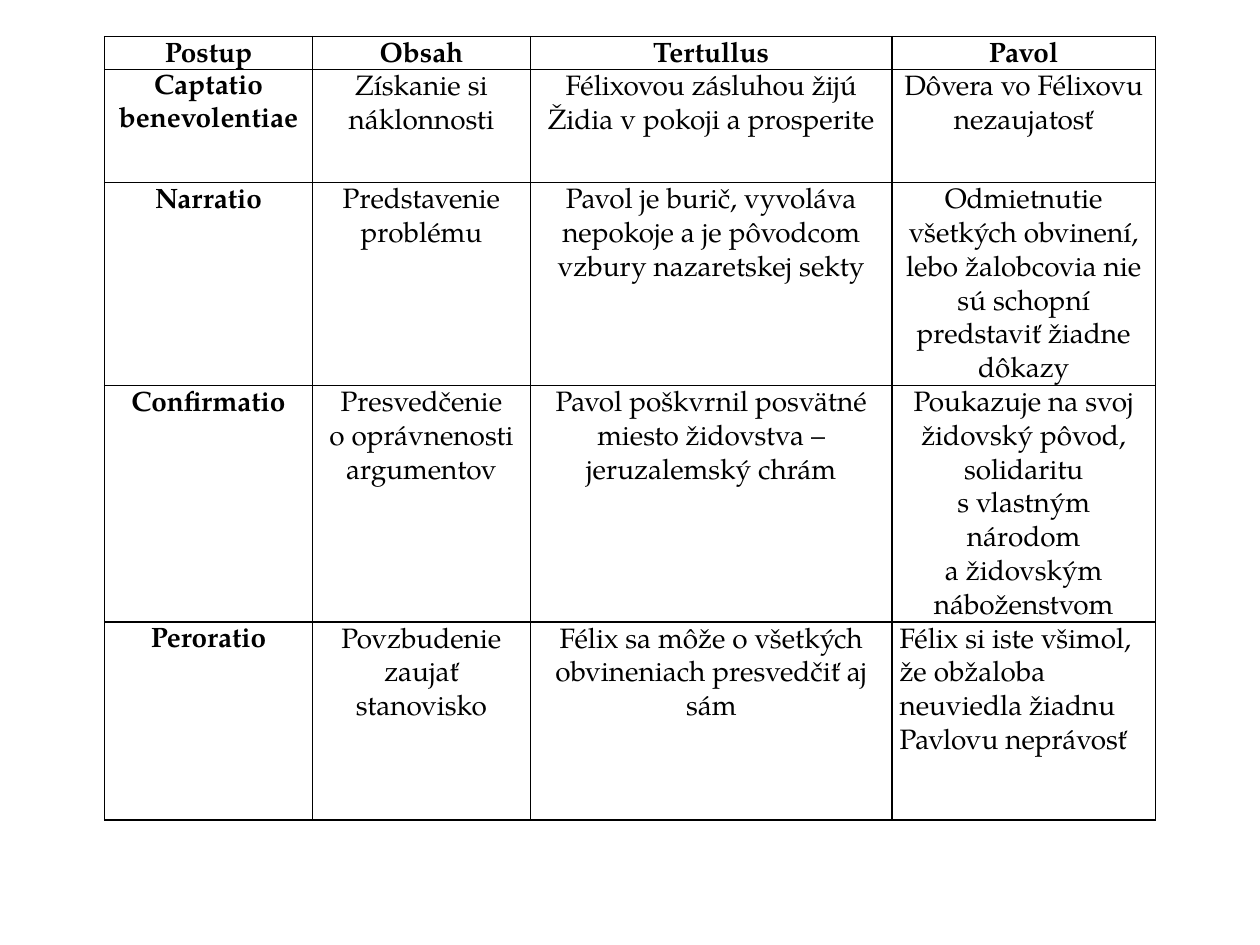
from lxml import etree
from pptx import Presentation
from pptx import util as u
from pptx.dml.color import RGBColor
from pptx.enum import text
from pptx.oxml import ns

FONT = "TeX Gyre Pagella"
INK = "000000"
TIE = chr(160)  # a tilde below ties a one-letter preposition to its noun
COLUMN_WIDTHS = [1.65, 1.73, 2.87, 2.09]
ROW_HEIGHTS = [0.22, 0.9, 1.57, 1.8, 1.57]
SPEECH_PARTS = [
    ["Postup", "Obsah", "Tertullus", "Pavol"],
    ["Captatio benevolentiae", "Získanie si náklonnosti",
     "Félixovou zásluhou žijú Židia v~pokoji a prosperite",
     "Dôvera vo Félixovu nezaujatosť"],
    ["Narratio", "Predstavenie problému",
     "Pavol je burič, vyvoláva nepokoje a~je pôvodcom vzbury nazaretskej sekty",
     "Odmietnutie všetkých obvinení, lebo žalobcovia nie sú schopní "
     "predstaviť žiadne dôkazy"],
    ["Confirmatio", "Presvedčenie o~oprávnenosti argumentov",
     "Pavol poškvrnil posvätné miesto židovstva – jeruzalemský chrám",
     "Poukazuje na svoj židovský pôvod, solidaritu s~vlastným národom "
     "a~židovským náboženstvom"],
    ["Peroratio", "Povzbudenie zaujať stanovisko",
     "Félix sa môže o~všetkých obvineniach presvedčiť aj sám",
     "Félix si iste všimol, že obžaloba neuviedla žiadnu Pavlovu neprávosť"],
]


def color(value):
    return RGBColor.from_string(value)


def add_borders(cell):
    properties = cell._tc.get_or_add_tcPr()
    for position, side in enumerate(("lnL", "lnR", "lnT", "lnB")):
        line = etree.Element(ns.qn(f"a:{side}"), w=str(u.Pt(1)))
        fill = etree.SubElement(line, ns.qn("a:solidFill"))
        etree.SubElement(fill, ns.qn("a:srgbClr"), val=INK)
        properties.insert(position, line)


def fill_cell(cell, wording, bold, alignment):
    cell.fill.background()
    add_borders(cell)
    cell.margin_left = cell.margin_right = u.Inches(0.06)
    cell.margin_top = cell.margin_bottom = 0
    paragraph = cell.text_frame.paragraphs[0]
    paragraph.alignment = alignment
    paragraph.line_spacing = 1.2
    run = paragraph.add_run()
    run.text = wording.replace("~", TIE)
    run.font.name = FONT
    run.font.size = u.Pt(16)
    run.font.bold = bold
    run.font.color.rgb = color(INK)


def add_speech_table(slide, left, top):
    table = slide.shapes.add_table(
        len(ROW_HEIGHTS), len(COLUMN_WIDTHS), u.Inches(left), u.Inches(top),
        u.Inches(sum(COLUMN_WIDTHS)), u.Inches(sum(ROW_HEIGHTS))).table
    table.first_row = table.horz_banding = False
    for column, width in zip(table.columns, COLUMN_WIDTHS):
        column.width = u.Inches(width)
    for row, height in zip(table.rows, ROW_HEIGHTS):
        row.height = u.Inches(height)

    # Headings and names of the parts are bold; only the closing cell is left-aligned
    last_cell = (len(ROW_HEIGHTS) - 1, len(COLUMN_WIDTHS) - 1)
    for r, wordings in enumerate(SPEECH_PARTS):
        for c, wording in enumerate(wordings):
            alignment = (text.PP_ALIGN.LEFT if (r, c) == last_cell
                         else text.PP_ALIGN.CENTER)
            fill_cell(table.cell(r, c), wording, r == 0 or c == 0, alignment)


def main():
    deck = Presentation()
    deck.slide_width, deck.slide_height = u.Inches(10), u.Inches(7.5)
    slide = deck.slides.add_slide(deck.slide_layouts[6])
    add_speech_table(slide, 0.83, 0.29)
    deck.save("out.pptx")


if __name__ == "__main__":
    main()
